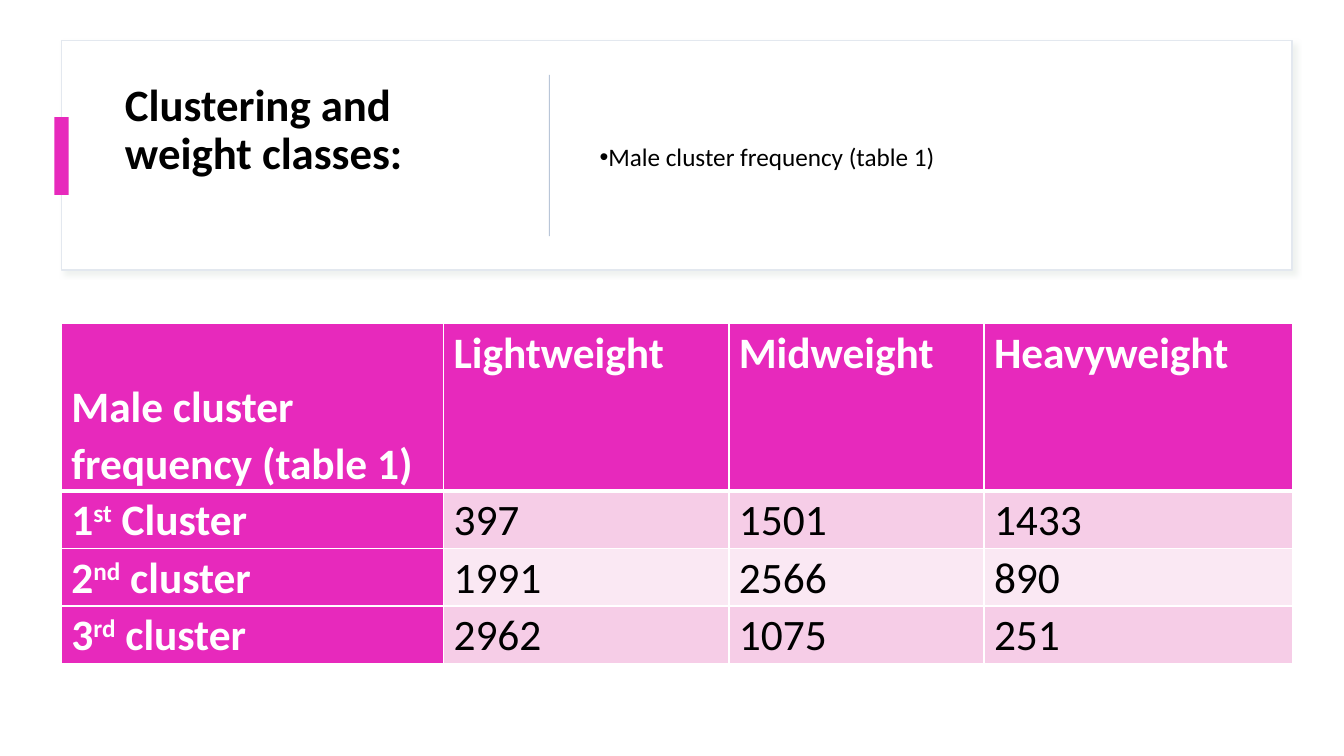
from dataclasses import dataclass
from typing import Optional

from lxml import etree
from pptx import Presentation
from pptx.dml.color import RGBColor
from pptx.enum.shapes import MSO_SHAPE
from pptx.enum.text import MSO_ANCHOR
from pptx.oxml import parse_xml
from pptx.oxml.ns import nsdecls, qn
from pptx.util import Cm, Pt

RECTANGLE = MSO_SHAPE.RECTANGLE
TOP, MIDDLE, BOTTOM = MSO_ANCHOR.TOP, MSO_ANCHOR.MIDDLE, MSO_ANCHOR.BOTTOM

WHITE, BLACK, PINK = "FFFFFF", "000000", "E729BC"
BANDS = ("F6CDE7", "FAE8F3")
FONT = "Calibri"


@dataclass
class Box:
    left: float
    top: float
    width: float
    height: float
    fill: str
    line: Optional[str] = None
    shadow: Optional[str] = None


@dataclass
class TextBlock:
    left: float
    top: float
    width: float
    height: float
    text: str
    font: dict
    paragraph: dict
    bullet: bool = False


@dataclass
class ClusterRow:
    number: str
    ordinal: str
    noun: str
    counts: tuple


BOXES = [
    Box(1.55, 1.02, 31.01, 5.79, WHITE, line="E3E8EF", shadow="C8D3CB"),  # header panel
    Box(1.37, 2.95, 0.36, 1.96, PINK),  # accent tab
    Box(13.83, 1.89, 0.03, 4.06, "B9C6D8"),  # divider
]

TEXTS = [
    TextBlock(2.9, 1.63, 9.83, 3.35, "Clustering and weight classes:",
              {"name": FONT, "size": Pt(32), "bold": True}, {"line_spacing": 0.9}),
    TextBlock(14.86, 1.63, 16.66, 4.57, "Male cluster frequency (table 1)",
              {"name": FONT, "size": Pt(18)},
              {"line_spacing": 1.1, "space_after": Pt(8)}, bullet=True),
]

HEADINGS = ("Male cluster frequency (table 1)", "Lightweight", "Midweight", "Heavyweight")
CLUSTERS = [
    ClusterRow("1", "st", " Cluster", (397, 1501, 1433)),
    ClusterRow("2", "nd", " cluster", (1991, 2566, 890)),
    ClusterRow("3", "rd", " cluster", (2962, 1075, 251)),
]
TABLE_LEFT, TABLE_TOP = 1.55, 8.15
COLUMN_WIDTHS = (9.63, 7.19, 6.43, 7.77)
HEADING_HEIGHT, ROW_HEIGHT = 4.22, 1.45


def color(value: str) -> RGBColor:
    return RGBColor.from_string(value)


def apply(target, values: dict) -> None:
    for name, value in values.items():
        setattr(target, name, value)


def add_box(slide, box: Box) -> None:
    shape = slide.shapes.add_shape(
        RECTANGLE, Cm(box.left), Cm(box.top), Cm(box.width), Cm(box.height))
    shape.shadow.inherit = False
    shape.fill.solid()
    shape.fill.fore_color.rgb = color(box.fill)
    if box.line:
        shape.line.color.rgb = color(box.line)
        shape.line.width = Pt(1)
    else:
        shape.line.fill.background()
    if box.shadow:
        effects = shape._element.spPr.find(qn("a:effectLst"))
        effects.append(parse_xml(
            f'<a:outerShdw {nsdecls("a")} blurRad="{Pt(4)}" dist="{Pt(3)}" dir="2700000">'
            f'<a:srgbClr val="{box.shadow}"><a:alpha val="30000"/></a:srgbClr></a:outerShdw>'))


def add_text(slide, block: TextBlock) -> None:
    shape = slide.shapes.add_textbox(
        Cm(block.left), Cm(block.top), Cm(block.width), Cm(block.height))
    apply(shape.text_frame, {"word_wrap": True, "vertical_anchor": MIDDLE})
    paragraph = shape.text_frame.paragraphs[0]
    apply(paragraph, block.paragraph)
    if block.bullet:
        properties = paragraph._p.get_or_add_pPr()
        properties.set("marL", "0")
        properties.set("indent", str(-Cm(0.64)))
        etree.SubElement(properties, qn("a:buFont")).set("typeface", "Arial")
        etree.SubElement(properties, qn("a:buChar")).set("char", "•")
    run = paragraph.add_run()
    run.text = block.text
    apply(run.font, block.font)
    run.font.color.rgb = color(BLACK)


def set_borders(cell, bottom: float) -> None:
    properties = cell._tc.get_or_add_tcPr()
    widths = {"lnL": 1, "lnR": 1, "lnT": 1, "lnB": bottom}
    for index, (side, width) in enumerate(widths.items()):
        properties.insert(index, parse_xml(
            f'<a:{side} {nsdecls("a")} w="{Pt(width)}"><a:solidFill>'
            f'<a:srgbClr val="{WHITE}"/></a:solidFill></a:{side}>'))


def fill_cell(cell, parts: tuple, fill: str, text_color: str, bold: bool,
              anchor=TOP, bottom: float = 1) -> None:
    """Write the parts as runs; the second part, if any, is superscript."""
    apply(cell, {"margin_left": Cm(0.25), "margin_right": Cm(0.25), "margin_top": 0,
                 "margin_bottom": 0, "vertical_anchor": anchor})
    cell.fill.solid()
    cell.fill.fore_color.rgb = color(fill)
    set_borders(cell, bottom)
    paragraph = cell.text_frame.paragraphs[0]
    paragraph.line_spacing = 1.07
    for index, part in enumerate(parts):
        run = paragraph.add_run()
        run.text = part
        apply(run.font, {"name": FONT, "size": Pt(31), "bold": bold})
        run.font.color.rgb = color(text_color)
        if index == 1:
            run._r.get_or_add_rPr().set("baseline", "30000")


def add_frequency_table(slide) -> None:
    heights = [HEADING_HEIGHT] + [ROW_HEIGHT] * len(CLUSTERS)
    table = slide.shapes.add_table(
        len(heights), len(COLUMN_WIDTHS), Cm(TABLE_LEFT), Cm(TABLE_TOP),
        Cm(sum(COLUMN_WIDTHS)), Cm(sum(heights))).table
    for column, width in zip(table.columns, COLUMN_WIDTHS):
        column.width = Cm(width)
    for row, height in zip(table.rows, heights):
        row.height = Cm(height)

    # Heading row
    for index, heading in enumerate(HEADINGS):
        fill_cell(table.cell(0, index), (heading,), PINK, WHITE, True,
                  anchor=TOP if index else BOTTOM, bottom=3)

    # Cluster rows
    for row_index, cluster in enumerate(CLUSTERS, start=1):
        label = (cluster.number, cluster.ordinal, cluster.noun)
        fill_cell(table.cell(row_index, 0), label, PINK, WHITE, True)
        band = BANDS[(row_index - 1) % len(BANDS)]
        for column_index, count in enumerate(cluster.counts, start=1):
            fill_cell(table.cell(row_index, column_index), (str(count),), band, BLACK, False)


def main() -> None:
    presentation = Presentation()
    apply(presentation, {"slide_width": Cm(33.87), "slide_height": Cm(19.05)})
    slide = presentation.slides.add_slide(presentation.slide_layouts[6])
    for box in BOXES:
        add_box(slide, box)
    for block in TEXTS:
        add_text(slide, block)
    add_frequency_table(slide)
    presentation.save("out.pptx")


if __name__ == "__main__":
    main()
